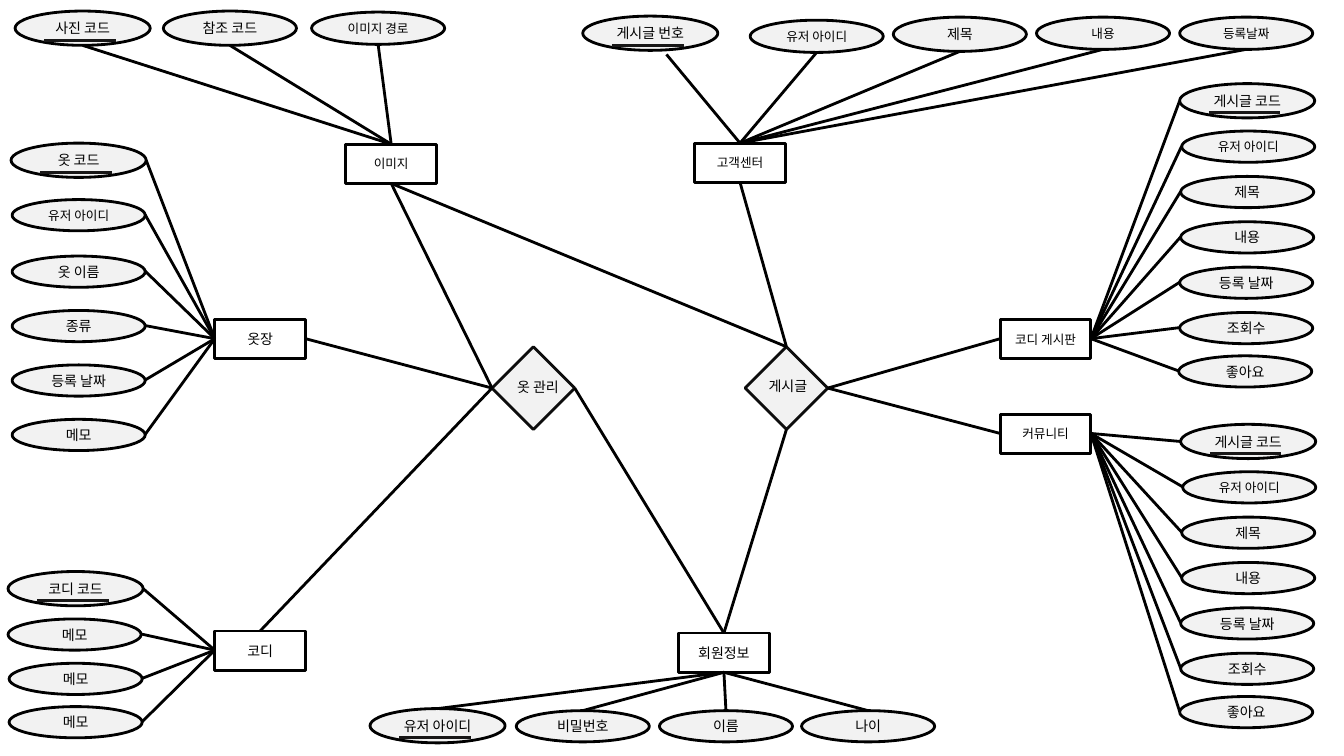
from lxml import etree
from pptx import Presentation
from pptx import util as u
from pptx.dml.color import RGBColor
from pptx.enum import shapes, text
from pptx.oxml import ns

SCALE = 9144  # 100 px to the inch


def px(n):
    return u.Emu(n * SCALE)


def rgb(hex_string):
    return RGBColor.from_string(hex_string)


def port(box, side):
    x, y, w, h = box
    return {"top": (x + w // 2, y), "bottom": (x + w // 2, y + h),
            "left": (x, y + h // 2), "right": (x + w, y + h // 2)}[side]


class Diagram:
    font = "Noto Sans CJK KR"
    ink, key_ink, edge, fill = "000000", "181717", "0D0D0D", "F2F2F2"
    opposite = {"top": "bottom", "bottom": "top", "left": "right", "right": "left"}

    def __init__(self, slide):
        self.s = slide

    def label(self, sp, words, size, **frame):
        tf = sp.text_frame
        for name, value in frame.items():
            setattr(tf, name, value)
        p = tf.paragraphs[0]
        p.alignment = text.PP_ALIGN.CENTER
        r = p.add_run()
        r.text = words
        for name, value in {"name": self.font, "size": u.Pt(size)}.items():
            setattr(r.font, name, value)
        r.font.color.rgb = rgb(self.ink)
        ea = etree.SubElement(r._r.get_or_add_rPr(), ns.qn("a:ea"))
        ea.set("typeface", self.font)

    def shape(self, kind, box, fill=None, line=ink):
        sp = self.s.shapes.add_shape(kind, *map(px, box))
        sp.shadow.inherit = False
        if fill:
            sp.fill.solid()
            sp.fill.fore_color.rgb = rgb(fill)
        else:
            sp.fill.background()
        sp.line.color.rgb = rgb(line)
        sp.line.width = u.Pt(2)
        return sp

    def node(self, kind, box, words, size, fill=None):
        sp = self.shape(kind, box, fill)
        self.label(sp, words, size, word_wrap=False,
                   vertical_anchor=text.MSO_ANCHOR.MIDDLE)
        return box

    def line(self, start, end, color=ink):
        cx = self.s.shapes.add_connector(shapes.MSO_CONNECTOR.STRAIGHT,
                                         *map(px, start + end))
        cx.line.color.rgb = rgb(color)
        cx.line.width = u.Pt(2)
        etree.SubElement(cx._element.spPr, ns.qn("a:effectLst"))

    def entity(self, words, x, y, size):
        return self.node(shapes.MSO_SHAPE.RECTANGLE, (x, y, 90, 39), words, size)

    def attribute(self, words, x, y, size=10, h=31, w=132):
        return self.node(shapes.MSO_SHAPE.OVAL, (x, y, w, h), words, size, self.fill)

    def key(self, words, x, y):
        box = self.attribute(words, x, y, h=34, w=134)
        self.line((x + 29, y + 29), (x + 100, y + 29), self.key_ink)
        return box

    def relation(self, words, x, y, label_x, label_y):
        box = (x, y, 82, 82)
        self.shape(shapes.MSO_SHAPE.DIAMOND, box, self.fill, self.edge)
        sp = self.s.shapes.add_textbox(*map(px, (label_x, label_y, 73, 27)))
        self.label(sp, words, 10, word_wrap=True,
                   auto_size=text.MSO_AUTO_SIZE.SHAPE_TO_FIT_TEXT)
        return box

    def family(self, entity, side, key, attributes, key_joint=None):
        """An entity with its key and attributes fanned out on one side."""
        box = self.entity(*entity)
        hub, far = port(box, side), self.opposite[side]
        key_box = self.key(*key)
        self.line(hub, key_joint or port(key_box, far))
        for item in attributes:
            self.line(hub, port(self.attribute(*item), far))
        return box


def board_attributes(dx, dy):
    """Both boards list the same attributes."""
    rows = [("유저 아이디", 1172, 130, 9), ("제목", 1171, 175), ("내용", 1171, 220),
            ("등록 날짜", 1170, 265), ("조회수", 1170, 310), ("좋아요", 1169, 353)]
    return [(words, x + dx, y + dy, *size) for words, x, y, *size in rows]


def main():
    prs = Presentation()
    prs.slide_width, prs.slide_height = px(1333), px(750)
    d = Diagram(prs.slides.add_slide(prs.slide_layouts[6]))

    # Entities and their attributes
    image = d.family(("이미지", 343, 143, 9), "top", ("사진 코드", 15, 11),
                     [("참조 코드", 162, 11, 10, 34), ("이미지 경로", 309, 12, 9, 32)])
    support = d.family(("고객센터", 689, 142, 9), "top", ("게시글 번호", 578, 16),
                       [("유저 아이디", 744, 20, 9, 32), ("제목", 886, 17, 10, 34),
                        ("내용", 1028, 17, 9, 32), ("등록날짜", 1170, 17, 9, 32)],
                       key_joint=(661, 54))
    closet = d.family(("옷장", 213, 317, 10), "left", ("옷 코드", 11, 142),
                      [("유저 아이디", 12, 198, 9), ("옷 이름", 12, 254),
                       ("종류", 12, 308), ("등록 날짜", 12, 362), ("메모", 12, 416)])
    outfit = d.family(("코디", 213, 626, 10), "left", ("코디 코드", 8, 567),
                      [("메모", 8, 614), ("메모", 9, 658), ("메모", 9, 701)])
    member = d.family(("회원정보", 673, 628, 10), "bottom", ("유저 아이디", 367, 703),
                      [("비밀번호", 512, 705), ("이름", 654, 705), ("나이", 795, 705)])
    outfit_board = d.family(("코디 게시판", 992, 317, 9), "right",
                            ("게시글 코드", 1170, 83), board_attributes(0, 0))
    community = d.family(("커뮤니티", 992, 411, 9), "right",
                         ("게시글 코드", 1171, 421), board_attributes(1, 338))

    # Relations
    clothes = d.relation("옷 관리", 488, 344, 497, 371)
    posts = d.relation("게시글", 739, 344, 745, 370)

    # Links between entities and relations
    for box, side, relation, corner in [
            (closet, "right", clothes, "left"), (outfit, "top", clothes, "left"),
            (image, "bottom", clothes, "left"), (member, "top", clothes, "right"),
            (image, "bottom", posts, "top"), (support, "bottom", posts, "top"),
            (outfit_board, "left", posts, "right"), (community, "left", posts, "right"),
            (member, "top", posts, "bottom")]:
        d.line(port(box, side), port(relation, corner))

    prs.save("out.pptx")


if __name__ == "__main__":
    main()
